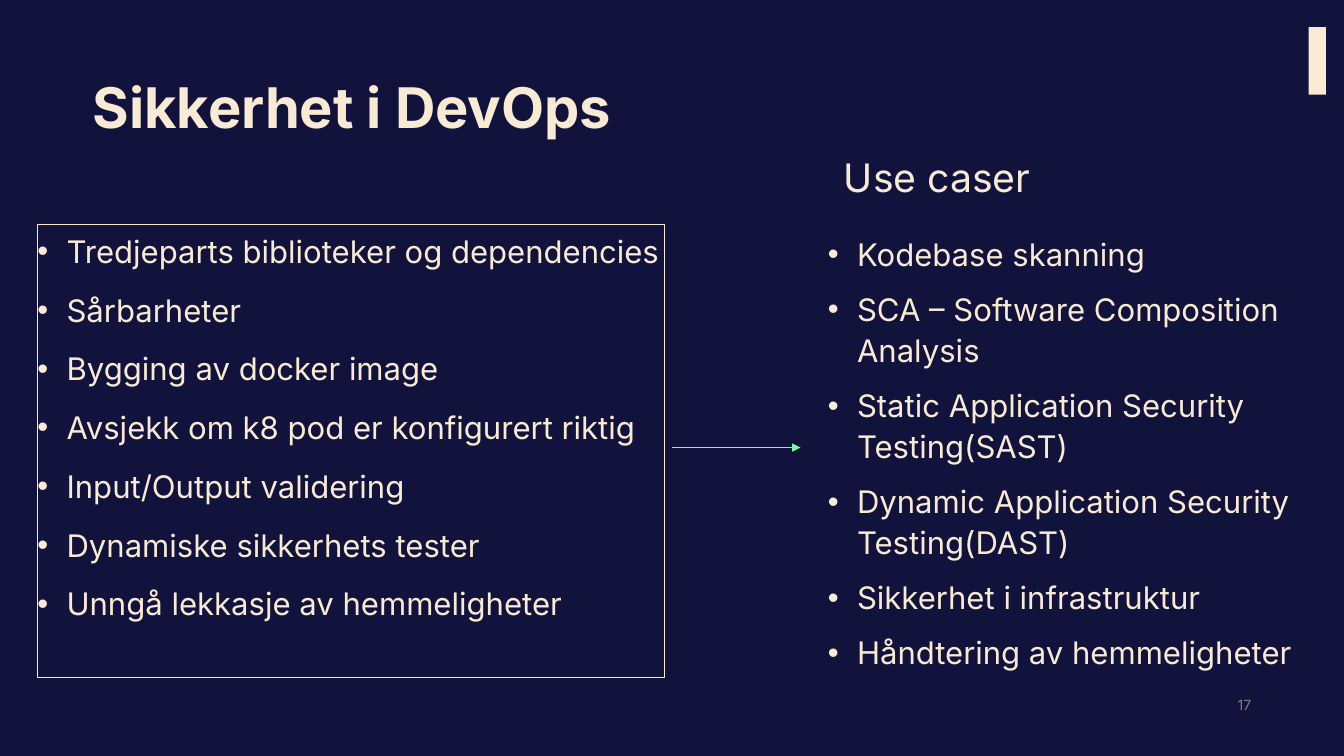
from dataclasses import dataclass

from lxml.etree import SubElement
from pptx import Presentation
from pptx.dml.color import RGBColor
from pptx.enum.shapes import MSO_CONNECTOR, MSO_SHAPE
from pptx.enum.text import MSO_ANCHOR, MSO_AUTO_SIZE, PP_ALIGN
from pptx.oxml.ns import qn
from pptx.util import Inches, Pt

# Content
TITLE = "Sikkerhet i DevOps"
CONCERNS = [
    "Tredjeparts biblioteker og dependencies",
    "Sårbarheter",
    "Bygging av docker image",
    "Avsjekk om k8 pod er konfigurert riktig",
    "Input/Output validering",
    "Dynamiske sikkerhets tester",
    "Unngå lekkasje av hemmeligheter",
]
USE_CASE_HEADING = "Use caser"
USE_CASES = [
    "Kodebase skanning",
    "SCA – Software Composition Analysis",
    "Static Application Security Testing(SAST)",
    "Dynamic Application Security Testing(DAST)",
    "Sikkerhet i infrastruktur",
    "Håndtering av hemmeligheter",
]
PAGE_NUMBER = "17"


@dataclass(frozen=True)
class Theme:
    font: str = "Inter"
    navy: RGBColor = RGBColor(0x11, 0x13, 0x3C)
    cream: RGBColor = RGBColor(0xF9, 0xEA, 0xD3)
    green: RGBColor = RGBColor(0x78, 0xFE, 0x9C)
    gray: RGBColor = RGBColor(0x80, 0x80, 0x80)
    title: float = 40
    heading: float = 28
    body: float = 22.2
    number: float = 10


THEME = Theme()

# Places: left, top, width, height in inches
MARK_AREA = (12.98, 0.27, 0.17, 0.67)
TITLE_AREA = (0.92, 0.79, 11.5, 1.29)
CONCERN_AREA = (0.37, 2.23, 6.22, 4.49)
HEADING_AREA = (8.37, 1.43, 4.05, 0.66)
USE_CASE_AREA = (8.21, 2.3, 5.12, 4.49)
NUMBER_AREA = (11.55, 6.78, 0.86, 0.43)
ARROW_START, ARROW_END, ARROW_HEIGHT = 6.67, 7.94, 4.44
BULLET_INDENT = Inches(0.29)
PARAGRAPH_GAP = Pt(10)


def set_all(target, values):
    for name, value in values.items():
        setattr(target, name, value)


def place(shape, area):
    sides = ("left", "top", "width", "height")
    set_all(shape, dict(zip(sides, map(Inches, area))))


def add_bullet(para):
    properties = para._p.get_or_add_pPr()
    properties.set("marL", str(BULLET_INDENT))
    properties.set("indent", str(-BULLET_INDENT))
    SubElement(properties, qn("a:buFont"), typeface="Arial")
    SubElement(properties, qn("a:buChar"), char="•")


def write(box, lines, size, color=THEME.cream, spacing=1.0, bold=False,
          bullets=False, align=PP_ALIGN.LEFT, anchor=MSO_ANCHOR.TOP):
    frame = box.text_frame
    set_all(frame, {
        "word_wrap": True, "auto_size": MSO_AUTO_SIZE.NONE,
        "vertical_anchor": anchor,
        "margin_left": 0, "margin_top": 0,
        "margin_right": 0, "margin_bottom": 0,
    })
    for index, line in enumerate(lines):
        para = frame.add_paragraph() if index else frame.paragraphs[0]
        if bullets:
            add_bullet(para)
        set_all(para, {
            "alignment": align, "line_spacing": spacing,
            "space_before": PARAGRAPH_GAP if index else Pt(0),
        })
        span = para.add_run()
        span.text = line
        set_all(span.font, {"name": THEME.font, "size": Pt(size), "bold": bold})
        span.font.color.rgb = color


def add_text(page, area, lines, size, **options):
    box = page.shapes.add_textbox(*map(Inches, area))
    write(box, lines, size, **options)
    return box


def add_mark(page):
    mark = page.shapes.add_shape(MSO_SHAPE.RECTANGLE, *map(Inches, MARK_AREA))
    mark.shadow.inherit = False
    mark.fill.solid()
    mark.fill.fore_color.rgb = THEME.cream
    mark.line.fill.background()


def add_arrow(page):
    arrow = page.shapes.add_connector(
        MSO_CONNECTOR.STRAIGHT, Inches(ARROW_START), Inches(ARROW_HEIGHT),
        Inches(ARROW_END), Inches(ARROW_HEIGHT))
    arrow.line.color.rgb = THEME.green
    arrow.line.width = Pt(0.5)
    SubElement(arrow.line._get_or_add_ln(), qn("a:tailEnd"), type="triangle")
    SubElement(arrow._element.spPr, qn("a:effectLst"))


def main():
    deck = Presentation()
    deck.slide_width, deck.slide_height = Inches(13.33), Inches(7.5)
    page = deck.slides.add_slide(deck.slide_layouts.get_by_name("Title Only"))
    page.background.fill.solid()
    page.background.fill.fore_color.rgb = THEME.navy

    # Corner mark, page number and title
    add_mark(page)
    add_text(page, NUMBER_AREA, [PAGE_NUMBER], THEME.number, color=THEME.gray,
             align=PP_ALIGN.RIGHT, anchor=MSO_ANCHOR.MIDDLE)
    place(page.shapes.title, TITLE_AREA)
    write(page.shapes.title, [TITLE], THEME.title, spacing=0.9, bold=True)

    # Framed list of concerns
    concerns = add_text(page, CONCERN_AREA, CONCERNS, THEME.body,
                        spacing=1.2, bullets=True)
    concerns.line.color.rgb = THEME.cream
    concerns.line.width = Pt(0.75)

    # Use cases
    add_text(page, HEADING_AREA, [USE_CASE_HEADING], THEME.heading, spacing=1.2)
    add_text(page, USE_CASE_AREA, USE_CASES, THEME.body,
             spacing=1.1, bullets=True)

    # Arrow from concerns to use cases
    add_arrow(page)
    deck.save("out.pptx")


if __name__ == "__main__":
    main()
